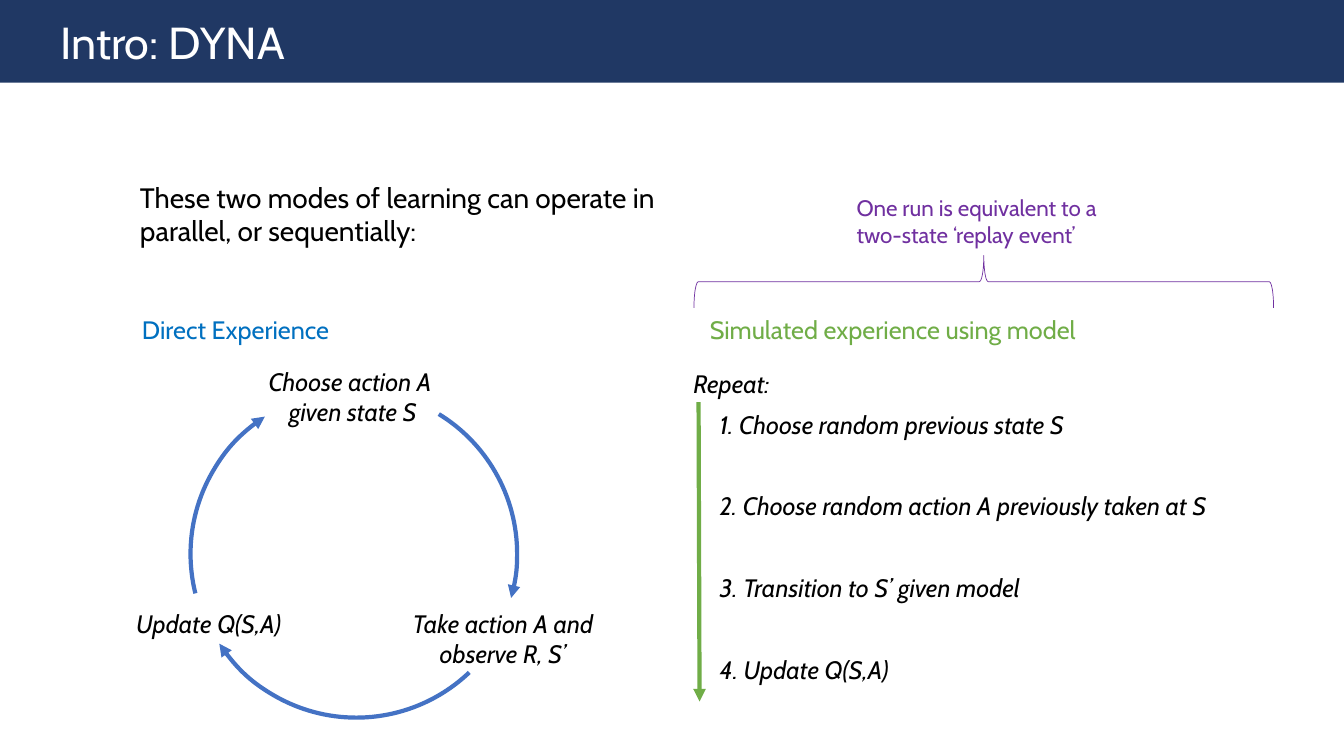
from lxml import etree
from pptx import Presentation
from pptx.dml.color import RGBColor
from pptx.enum.shapes import MSO_CONNECTOR, MSO_SHAPE
from pptx.enum.text import MSO_ANCHOR, MSO_AUTO_SIZE, PP_ALIGN
from pptx.oxml.ns import qn
from pptx.util import Pt

RECTANGLE = MSO_SHAPE.RECTANGLE
ARC = MSO_SHAPE.ARC
LEFT_BRACE = MSO_SHAPE.LEFT_BRACE
STRAIGHT = MSO_CONNECTOR.STRAIGHT
LEFT = PP_ALIGN.LEFT
CENTER = PP_ALIGN.CENTER
MIDDLE = MSO_ANCHOR.MIDDLE
FIT_TEXT = MSO_AUTO_SIZE.SHAPE_TO_FIT_TEXT

WHITE = RGBColor(0xFF, 0xFF, 0xFF)
BLACK = RGBColor(0x00, 0x00, 0x00)
NAVY = RGBColor(0x20, 0x38, 0x64)
CYCLE_BLUE = RGBColor(0x44, 0x72, 0xC4)
HEADING_BLUE = RGBColor(0x00, 0x70, 0xC0)
GREEN = RGBColor(0x70, 0xAD, 0x47)
PURPLE = RGBColor(0x70, 0x30, 0xA0)


class SlideBuilder:
    """Draw styled elements on one slide, with lengths in points."""

    def __init__(self, slide, font="Cabin"):
        self.shapes = slide.shapes
        self.font = font

    def set_text(self, frame, text, *, size=18, color=BLACK, italic=False, align=LEFT, level=0):
        frame.word_wrap = True
        paragraph = frame.paragraphs[0]
        paragraph.text = text
        paragraph.alignment = align
        paragraph.level = level
        for run in paragraph.runs:
            run.font.name = self.font
            run.font.size = Pt(size)
            run.font.italic = italic
            run.font.color.rgb = color

    def text_box(self, left, top, width, height, text, **style):
        box = self.shapes.add_textbox(Pt(left), Pt(top), Pt(width), Pt(height))
        box.text_frame.auto_size = FIT_TEXT
        self.set_text(box.text_frame, text, **style)

    def title_bar(self, width, height, text):
        bar = self.shapes.add_shape(RECTANGLE, 0, 0, Pt(width), Pt(height))
        bar.shadow.inherit = False
        bar.fill.solid()
        bar.fill.fore_color.rgb = NAVY
        bar.line.fill.background()
        bar.text_frame.vertical_anchor = MIDDLE
        self.set_text(bar.text_frame, text, size=32, color=WHITE, level=1)

    def outline(self, kind, left, top, width, height, rotation, color, weight):
        shape = self.shapes.add_shape(kind, Pt(left), Pt(top), Pt(width), Pt(height))
        shape.shadow.inherit = False
        shape.fill.background()
        shape.rotation = rotation
        self.stroke(shape, color, weight)
        return shape

    def arc_arrow(self, left, top, diameter, rotation, start, end):
        arc = self.outline(ARC, left, top, diameter, diameter, rotation, CYCLE_BLUE, 3)
        for index, degrees in enumerate((start, end)):
            arc.adjustments[index] = degrees * 0.6
        self.arrowhead(arc)

    def arrow(self, start_x, start_y, end_x, end_y, color):
        line = self.shapes.add_connector(STRAIGHT, Pt(start_x), Pt(start_y), Pt(end_x), Pt(end_y))
        self.stroke(line, color, 3)
        self.arrowhead(line)
        etree.SubElement(line.element.spPr, qn("a:effectLst"))

    def stroke(self, shape, color, weight):
        shape.line.color.rgb = color
        shape.line.width = Pt(weight)

    def arrowhead(self, shape):
        line = shape.element.spPr.find(qn("a:ln"))
        etree.SubElement(line, qn("a:tailEnd"), type="triangle")


def main():
    presentation = Presentation()
    presentation.slide_width = Pt(960)
    presentation.slide_height = Pt(540)
    builder = SlideBuilder(presentation.slides.add_slide(presentation.slide_layouts[6]))

    builder.title_bar(960, 59, "Intro: DYNA")

    cycle_steps = [
        (160.5, 257.8, 51, "Choose action A \ngiven state S"),
        (267.8, 430.6, 51, "Take action A and\nobserve R, S’"),
        (57.6, 430.6, 29, "Update Q(S,A)"),
    ]
    for left, top, height, step in cycle_steps:
        builder.text_box(left, top, 183, height, step, italic=True, align=CENTER)

    cycle_arcs = [
        (136.1, 270, 256.03, 326.89),
        (135.4, 60, 241.44, 315.62),
        (137.5, 150, 256.38, 356.74),
    ]
    for left, rotation, start, end in cycle_arcs:
        builder.arc_arrow(left, 278.6, 234, rotation, start, end)

    model_steps = [
        "1. Choose random previous state S",
        "2. Choose random action A previously taken at S",
        "3. Transition to S’ given model",
        "4. Update Q(S,A)",
    ]
    for index, step in enumerate(model_steps):
        builder.text_box(506.9, 288.7 + 58.3 * index, 414, 29, step, italic=True)
    builder.arrow(499, 287.3, 499.7, 501.1, GREEN)
    builder.text_box(488.2, 259.2, 299, 29, "Repeat:", italic=True)

    builder.text_box(488.2, 221, 299, 29, "Simulated experience using model",
                     color=GREEN, align=CENTER)
    builder.text_box(94.3, 221, 299, 29, "Direct Experience", color=HEADING_BLUE)
    builder.text_box(92.9, 125.3, 391.7, 55.7,
                     "These two modes of learning can operate in parallel, or sequentially:", size=20)
    builder.text_box(604.8, 135.4, 201.6, 46,
                     "One run is equivalent to a two-state ‘replay event’", size=16, color=PURPLE)
    builder.outline(LEFT_BRACE, 684, -5.8, 37.4, 414, 90, PURPLE, 0.5)

    presentation.save("out.pptx")


if __name__ == "__main__":
    main()
